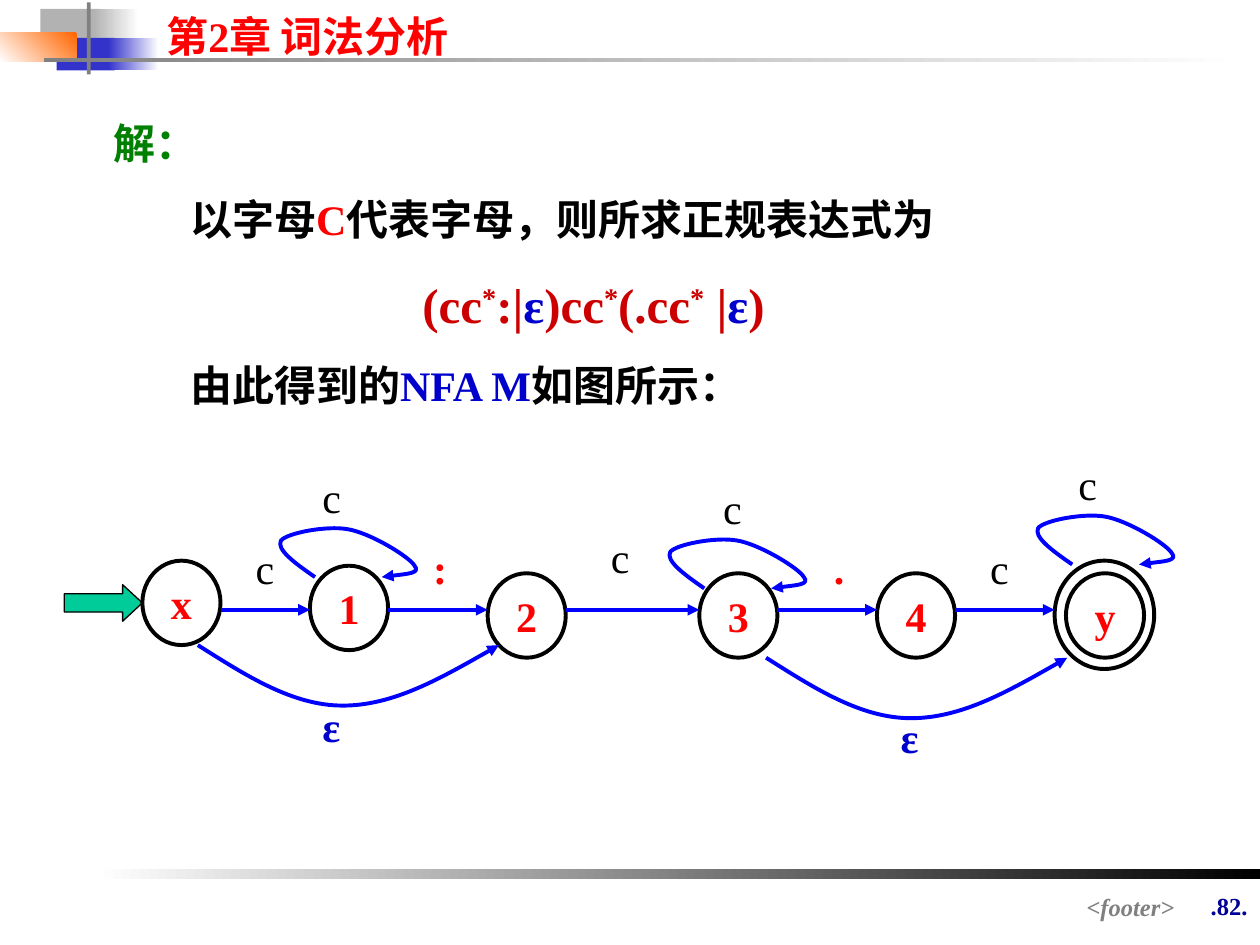
from lxml import etree
from pptx import Presentation
from pptx.dml.color import RGBColor
from pptx.enum.shapes import MSO_CONNECTOR, MSO_SHAPE
from pptx.enum.text import MSO_ANCHOR, PP_ALIGN
from pptx.oxml.ns import qn
from pptx.util import Inches, Pt

RECT, OVAL, ARROW = MSO_SHAPE.RECTANGLE, MSO_SHAPE.OVAL, MSO_SHAPE.RIGHT_ARROW
STRAIGHT = MSO_CONNECTOR.STRAIGHT
LEFT, CENTER, RIGHT = PP_ALIGN.LEFT, PP_ALIGN.CENTER, PP_ALIGN.RIGHT
TOP, MIDDLE = MSO_ANCHOR.TOP, MSO_ANCHOR.MIDDLE
FONT = "Times New Roman"
C = {"black": "000000", "white": "FFFFFF", "red": "FF0000", "crimson": "CC0000",
     "green": "008000", "blue": "0000CC", "edge": "0000FF", "navy": "000099",
     "gray": "808080", "silver": "B2B2B2", "indigo": "3333CC", "orange": "FF6600",
     "teal": "00CC99"}
NODE_W, NODE_H = 0.62, 0.67
LOOP = [(0.31, 0.41), (0.15, 0.3), (0, 0.19), (0.04, 0.12), (0.09, 0.06),
        (0.4, 0), (0.57, 0.03), (0.75, 0.06), (1.06, 0.25), (1.1, 0.32),
        (1.15, 0.38), (0.99, 0.39), (0.84, 0.41)]
ARC = [(0, 0), (0.38, 0.24), (0.75, 0.48), (1.15, 0.48), (1.55, 0.48),
       (1.97, 0.24), (2.39, 0)]


def rgb(name):
    """Return the named colour."""
    return RGBColor.from_string(C[name])


def style(r, color, size=24, bold=True, italic=False):
    """Format one run."""
    r.font.name, r.font.size = FONT, Pt(size)
    r.font.bold, r.font.italic = bold, italic
    r.font.color.rgb = rgb(color)


def text(s, x, y, w, h, words, color, align=LEFT, **font):
    """Add a one-line text box."""
    tf = s.shapes.add_textbox(Inches(x), Inches(y), Inches(w), Inches(h)).text_frame
    tf.word_wrap = True
    p = tf.paragraphs[0]
    p.text, p.alignment = words, align
    style(p.runs[0], color, **font)


def shape(s, kind, x, y, w, h, fill=None, line=None, width=2.25):
    """Add a preset shape; a pair of fill colours makes a gradient from right to left."""
    sp = s.shapes.add_shape(kind, Inches(x), Inches(y), Inches(w), Inches(h))
    sp.shadow.inherit = False
    if fill is None:
        sp.fill.background()
    elif isinstance(fill, tuple):
        sp.fill.gradient()
        sp.fill.gradient_angle = 180
        for stop, name in zip(sp.fill.gradient_stops, fill):
            stop.color.rgb = rgb(name)
    else:
        sp.fill.solid()
        sp.fill.fore_color.rgb = rgb(fill)
    if line:
        sp.line.color.rgb = rgb(line)
        sp.line.width = Pt(width)
    else:
        sp.line.fill.background()
    return sp


def arrow_line(sp):
    """Give a line or curve the edge colour and an arrowhead at its end."""
    sp.line.color.rgb = rgb("edge")
    sp.line.width = Pt(2.25)
    etree.SubElement(sp.line._get_or_add_ln(), qn("a:tailEnd"), type="triangle")


def edge(s, x1, x2, y):
    """Draw a horizontal transition arrow."""
    cx = s.shapes.add_connector(STRAIGHT, Inches(x1), Inches(y), Inches(x2), Inches(y))
    arrow_line(cx)
    etree.SubElement(cx._element.spPr, qn("a:effectLst"))


def curve(s, x, y, points):
    """Draw a Bezier arrow through a start point and triples of control points."""
    pts = [(Inches(x + dx), Inches(y + dy)) for dx, dy in points]
    fb = s.shapes.build_freeform(*pts[0])
    fb.add_line_segments(pts[1:], close=False)
    sp = fb.convert_to_shape()
    sp.shadow.inherit = False
    sp.fill.background()
    arrow_line(sp)
    path = sp._element.find(".//" + qn("a:path"))
    segments = path.findall(qn("a:lnTo"))
    for i in range(0, len(segments), 3):
        bezier = etree.SubElement(path, qn("a:cubicBezTo"))
        for segment in segments[i:i + 3]:
            bezier.append(segment[0])
            path.remove(segment)


def header(s, x, y):
    """Place the coloured blocks, the rule and the chapter title."""
    for dx, dy, w, h, fill in [
            (0.32, 0.07, 0.48, 0.26, "silver"),
            (0.74, 0.07, 0.36, 0.26, ("white", "silver")),
            (0.45, 0.3, 0.46, 0.26, "indigo"),
            (0.86, 0.3, 0.4, 0.26, ("white", "indigo")),
            (0, 0.26, 0.61, 0.23, ("orange", "white")),
            (0.69, 0.02, 0.03, 0.57, "gray"),
            (0.35, 0.46, 9.51, 0.03, ("white", "gray"))]:
        sp = shape(s, RECT, x + dx, y + dy, w, h, fill)
        if fill == ("orange", "white"):
            sp.fill.gradient_angle = 225
    title = s.shapes.title
    title.left, title.top = Inches(x + 1.22), Inches(y + 0.03)
    title.width, title.height = Inches(3.15), Inches(0.5)
    tf = title.text_frame
    tf.text, tf.vertical_anchor = "第2章 词法分析", TOP
    tf.paragraphs[0].alignment = LEFT
    style(tf.paragraphs[0].runs[0], "red")


def footer(s, x, y):
    """Place the bottom bar, the footer text and the page number."""
    shape(s, RECT, x + 0.75, y, 9.25, 0.08, ("black", "white"))
    text(s, x + 9.33, y + 0.12, 0.67, 0.57, ".82.", "navy", RIGHT, size=14)
    text(s, x + 2.64, y + 0.13, 6.78, 0.26, "<footer>", "gray", RIGHT, size=14, italic=True)


def solution(s, x, y, w, h):
    """Write the solution text with its regular expression."""
    formula = [("(cc", "crimson"), ("*", "crimson"), (":|", "crimson"), ("ε", "blue"),
               (")cc", "crimson"), ("*", "crimson"), ("(.cc", "crimson"),
               ("*", "crimson"), (" |", "crimson"), ("ε", "blue"), (")", "crimson")]
    lines = [
        (LEFT, 24, 15, 0, [("解：", "green")]),
        (LEFT, 24, 15, 0.61, [("以字母", "black"), ("C", "red"),
                              ("代表字母，则所求正规表达式为", "black")]),
        (CENTER, 28, 17.5, 0, formula),
        (LEFT, 24, 15, 0.61, [("由此得到的", "black"), ("NFA M", "blue"),
                              ("如图所示：", "black")])]
    tf = s.shapes.add_textbox(Inches(x), Inches(y), Inches(w), Inches(h)).text_frame
    tf.word_wrap = True
    for i, (align, size, before, indent, runs) in enumerate(lines):
        p = tf.add_paragraph() if i else tf.paragraphs[0]
        p.alignment, p.space_before = align, Pt(before)
        p._p.get_or_add_pPr().set("indent", str(Inches(indent)))
        for words, color in runs:
            r = p.add_run()
            r.text = words
            style(r, color, size)
            if words == "*":
                r._r.get_or_add_rPr().set("baseline", "30000")


def automaton(s, x, y):
    """Draw the NFA: states, transitions, loops and labels."""
    nodes = [("x", 0.62, 0.86), ("1", 1.95, 0.9), ("2", 3.36, 0.96),
             ("3", 5.04, 0.96), ("4", 6.45, 0.96), ("y", 7.95, 0.96)]
    ring_x = 7.86
    shape(s, ARROW, x, y + 1.05, 0.62, 0.29, "teal", "black", 0.75).adjustments[1] = 0.54
    for name, dx, dy in nodes:
        sp = shape(s, OVAL, x + dx, y + dy, NODE_W, NODE_H, line="black")
        tf = sp.text_frame
        tf.text, tf.word_wrap, tf.vertical_anchor = name, False, MIDDLE
        tf.paragraphs[0].alignment = CENTER
        style(tf.paragraphs[0].runs[0], "red")
    shape(s, OVAL, x + ring_x, y + 0.86, 0.79, 0.86, line="black")
    ends = [dx for _, dx, _ in nodes[1:-1]] + [ring_x]
    for (_, dx, _), end in zip(nodes, ends):
        edge(s, x + dx + NODE_W, x + end, y + 1.25)
    for dx, dy in [(1.68, 0.58), (4.77, 0.67), (7.69, 0.48)]:
        curve(s, x + dx, y + dy, LOOP)
    for dx, dy in [(1.06, 1.53), (5.57, 1.63)]:
        curve(s, x + dx, y + dy, ARC)
    colors = {"c": "black", "ε": "blue", ":": "red", ".": "red"}
    for words, dx, dy in [
            ("c", 1.42, 0.67), ("c", 1.95, 0.1), (":", 2.83, 0.67), ("c", 4.24, 0.58),
            ("c", 5.13, 0.19), (".", 6.01, 0.67), ("c", 7.25, 0.67), ("c", 7.95, 0),
            ("ε", 1.95, 1.92), ("ε", 6.54, 2.01)]:
        text(s, x + dx, y + dy, 0.44, 0.5, words, colors[words], bold=words != "c")


def main():
    """Build the slide and save it."""
    prs = Presentation()
    prs.slide_width, prs.slide_height = Inches(10), Inches(7.5)
    s = prs.slides.add_slide(prs.slide_layouts[5])
    header(s, 0, 0)
    footer(s, 0, 6.9)
    solution(s, 0.8, 0.88, 7.82, 2.43)
    automaton(s, 0.51, 3.59)
    prs.save("out.pptx")


if __name__ == "__main__":
    main()
